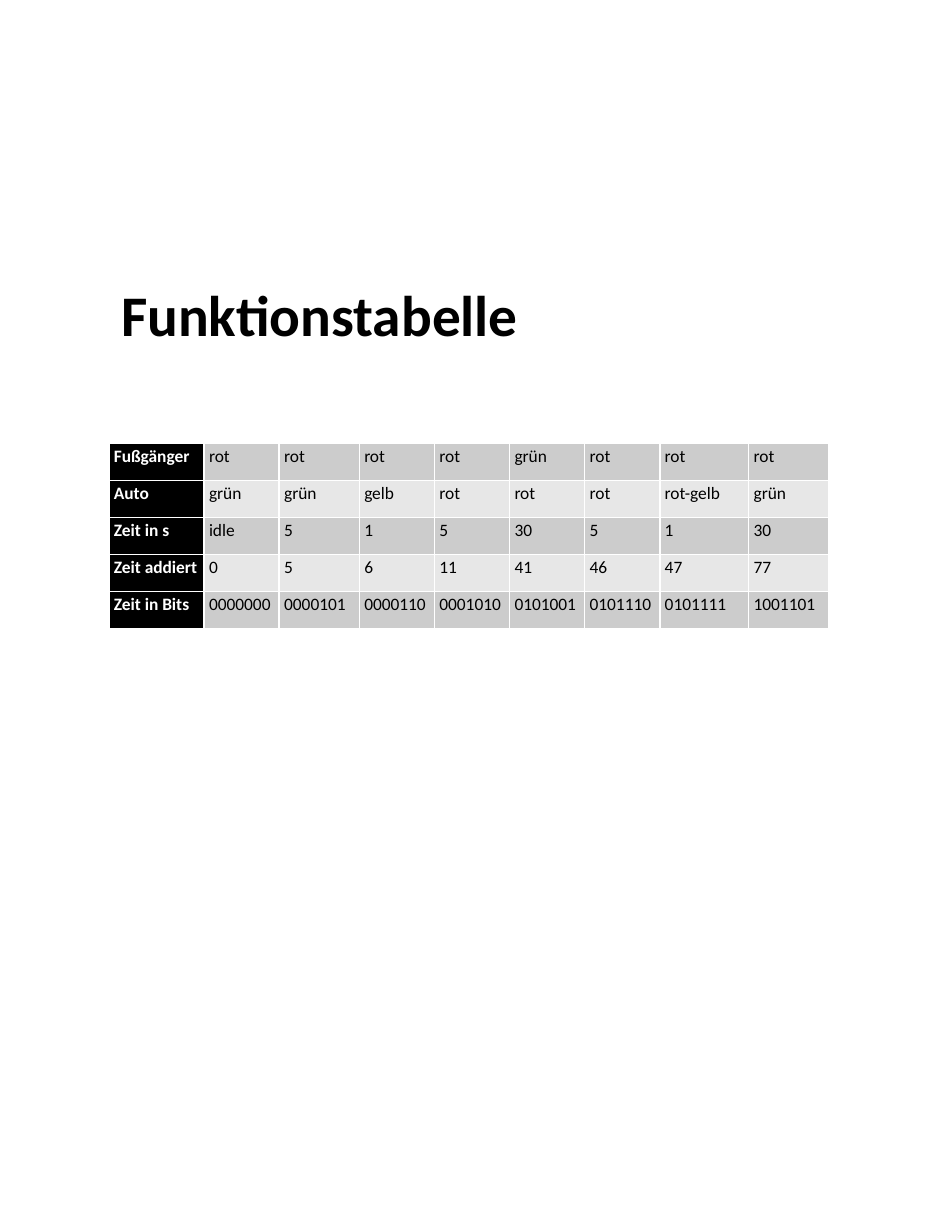
from lxml.etree import SubElement
from pptx import Presentation
from pptx.dml.color import RGBColor
from pptx.enum.text import MSO_ANCHOR as Anchor
from pptx.oxml.ns import qn
from pptx.util import Inches, Pt

# Colours
BLACK, WHITE = "000000", "FFFFFF"
BANDS = ("CCCCCC", "E7E7E7")

# Text formats
TITLE_FONT = {"name": "Calibri", "size": Pt(33), "bold": True}
LABEL_FONT = {"name": "Calibri", "size": Pt(10), "bold": True}
VALUE_FONT = {**LABEL_FONT, "bold": False}
CELL_MARGINS = {
    "margin_left": Inches(0.04), "margin_right": Inches(0.04),
    "margin_top": Inches(0.02), "margin_bottom": Inches(0.02),
}

# Traffic light phases
COLUMN_WIDTHS = (0.76, 0.6, 0.64, 0.6, 0.6, 0.6, 0.6, 0.71, 0.64)
PHASES = (
    ("Fußgänger", "rot", "rot", "rot", "rot", "grün", "rot", "rot", "rot"),
    ("Auto", "grün", "grün", "gelb", "rot", "rot", "rot", "rot-gelb", "grün"),
    ("Zeit in s", "idle", "5", "1", "5", "30", "5", "1", "30"),
    ("Zeit addiert ", "0", "5", "6", "11", "41", "46", "47", "77"),
    ("Zeit in Bits", "0000000", "0000101", "0000110", "0001010",
     "0101001", "0101110", "0101111", "1001101"),
)


def paint(color_format, hex_color):
    color_format.rgb = RGBColor.from_string(hex_color)


def apply(target, formats):
    for attribute, value in formats.items():
        setattr(target, attribute, value)


def write(paragraph, text, font_format, hex_color):
    run = paragraph.add_run()
    run.text = text
    apply(run.font, font_format)
    paint(run.font.color, hex_color)


def add_title(slide, text, left, top, width, height):
    title = slide.shapes.add_textbox(
        *map(Inches, (left, top, width, height))).text_frame
    apply(title, {"word_wrap": True, "vertical_anchor": Anchor.MIDDLE})
    heading = title.paragraphs[0]
    heading.line_spacing = 0.9
    write(heading, text, TITLE_FONT, BLACK)


def add_borders(cell, hex_color, width):
    properties = cell._tc.get_or_add_tcPr()
    for side in ("a:lnL", "a:lnR", "a:lnT", "a:lnB"):
        border = SubElement(properties, qn(side), w=str(width))
        fill = SubElement(border, qn("a:solidFill"))
        SubElement(fill, qn("a:srgbClr"), val=hex_color)


def fill_cell(cell, text, font_format, text_color, background):
    apply(cell, CELL_MARGINS)
    write(cell.text_frame.paragraphs[0], text, font_format, text_color)
    # Borders come before the fill in the cell properties
    add_borders(cell, WHITE, Pt(1))
    cell.fill.solid()
    paint(cell.fill.fore_color, background)


def add_function_table(slide, rows, widths, left, top, height):
    table = slide.shapes.add_table(
        len(rows), len(widths),
        *map(Inches, (left, top, sum(widths), height))).table
    apply(table, {"first_row": False, "horz_banding": False})
    for column, width in zip(table.columns, widths):
        column.width = Inches(width)
    for row_index, (label, *values) in enumerate(rows):
        fill_cell(table.cell(row_index, 0), label, LABEL_FONT, WHITE, BLACK)
        band = BANDS[row_index % 2]
        for phase, value in enumerate(values, 1):
            fill_cell(table.cell(row_index, phase), value, VALUE_FONT, BLACK, band)


def main():
    deck = Presentation()
    apply(deck, {"slide_width": Inches(7.5), "slide_height": Inches(9.84)})
    slide = deck.slides.add_slide(deck.slide_layouts[6])
    add_title(slide, "Funktionstabelle", 0.87, 1.98, 4.77, 1.12)
    add_function_table(slide, PHASES, COLUMN_WIDTHS, 0.87, 3.54, 1.48)
    deck.save("out.pptx")


main()
